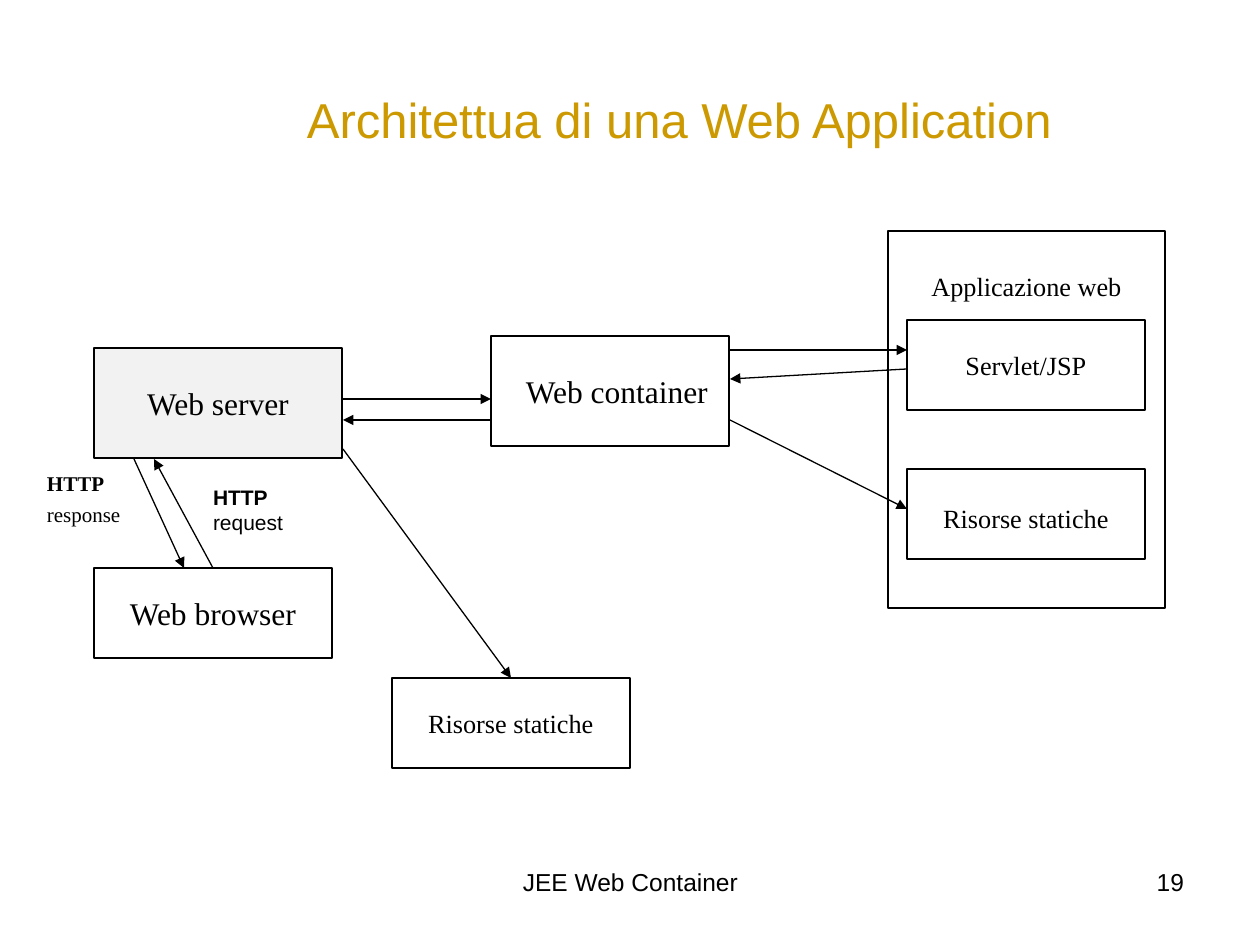
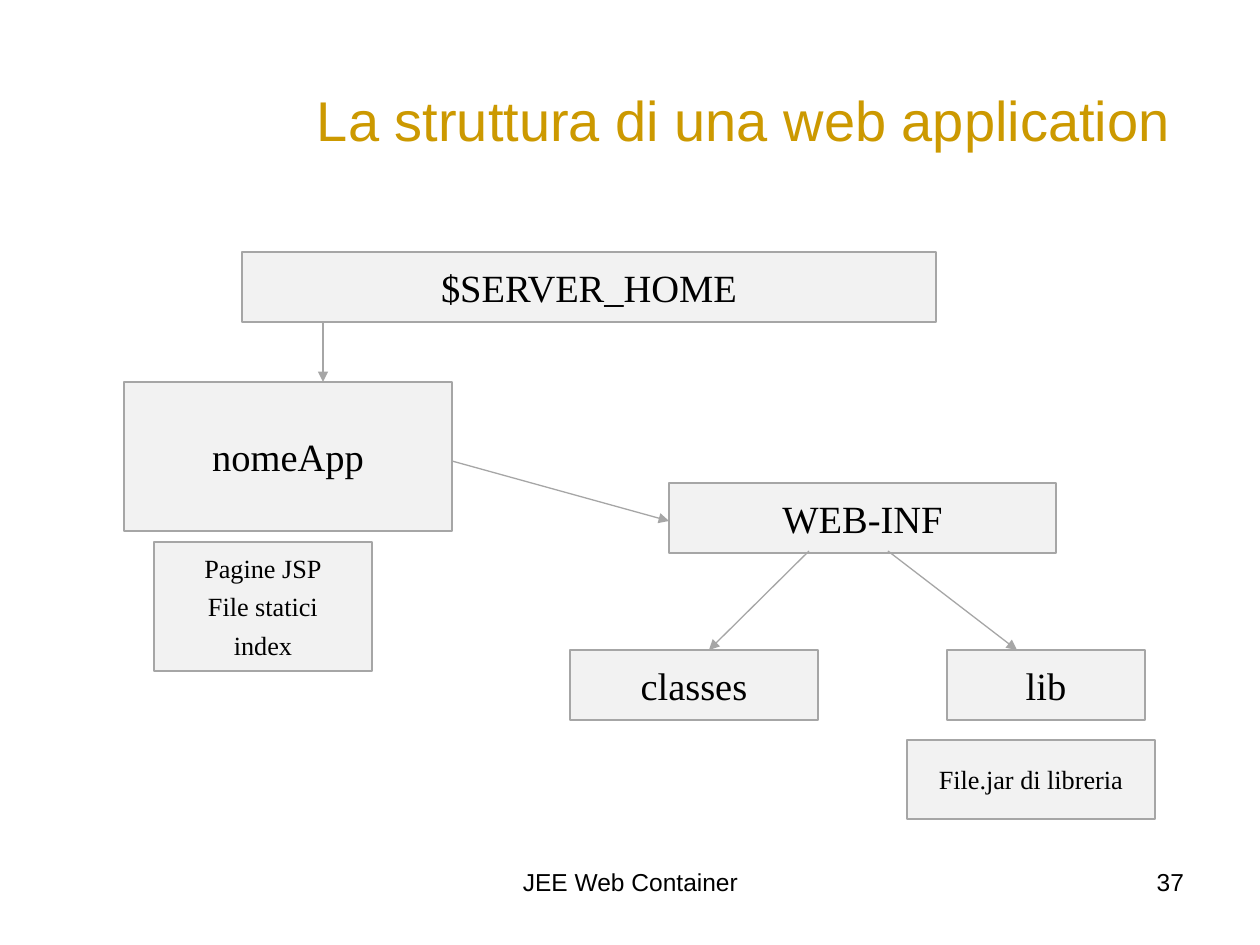
from lxml import etree
from pptx import Presentation
from pptx import util as u
from pptx.dml.color import RGBColor
from pptx.enum import shapes, text
from pptx.oxml import ns

PX = 914400 / 126  # EMU in one px
SANS, SERIF = "Arial", "Times New Roman"
GOLD, BLACK, GREY, PALE = "CC9900", "000000", "A6A6A6", "F2F2F2"
LEFT, CENTER, RIGHT = text.PP_ALIGN.LEFT, text.PP_ALIGN.CENTER, text.PP_ALIGN.RIGHT
TOP, MIDDLE = text.MSO_ANCHOR.TOP, text.MSO_ANCHOR.MIDDLE
PAD = (13, 6, 13, 6)  # left, top, right, bottom


def px(n):
    return u.Emu(round(n * PX))


def color(hex_string):
    return RGBColor.from_string(hex_string)


class Deck:
    """Holds the shared style and the current slide."""

    def __init__(self):
        self.prs = Presentation()
        self.prs.slide_width, self.prs.slide_height = px(1260), px(945)
        self.s = None
        self.line = BLACK

    def slide(self, title, size, box, number, line):
        """Start a slide with its title, footer and line colour."""
        self.s = self.prs.slides.add_slide(self.prs.slide_layouts[6])
        self.line = line
        self.label(box, [title], size, c=GOLD, anchor=MIDDLE)
        self.label((431, 861, 399, 66), ["JEE Web Container"], 14, align=CENTER)
        self.label((903, 861, 294, 66), [number], 14, align=RIGHT)

    def set_text(self, sp, lines, size, font, c=BLACK, align=LEFT, anchor=TOP,
                 before=0, spacing=None, bold_first=False, pad=PAD):
        tf = sp.text_frame
        tf.word_wrap = True
        tf.vertical_anchor = anchor
        tf.margin_left, tf.margin_top, tf.margin_right, tf.margin_bottom = map(px, pad)
        for i, line in enumerate(lines):
            p = tf.add_paragraph() if i else tf.paragraphs[0]
            p.alignment = align
            p.space_before = u.Pt(before)
            if spacing:
                p.line_spacing = spacing
            r = p.add_run()
            r.text = line
            r.font.name, r.font.size = font, u.Pt(size)
            r.font.bold = bold_first and i == 0
            r.font.color.rgb = color(c)

    def label(self, box, lines, size, font=SANS, **style):
        sp = self.s.shapes.add_textbox(*map(px, box))
        self.set_text(sp, lines, size, font, **style)

    def box(self, box, lines, size, fill=None, anchor=MIDDLE, pad=PAD):
        """Outlined rectangle with centred text."""
        sp = self.s.shapes.add_shape(shapes.MSO_SHAPE.RECTANGLE, *map(px, box))
        sp.shadow.inherit = False
        if fill:
            sp.fill.solid()
            sp.fill.fore_color.rgb = color(fill)
        else:
            sp.fill.background()
        sp.line.color.rgb = color(self.line)
        sp.line.width = u.Pt(0.75)
        self.set_text(sp, lines, size, SERIF, align=CENTER, anchor=anchor,
                      before=size / 4, pad=pad)
        return sp

    def arrow(self, start, end, begin_at=None, end_at=None):
        """Arrow between points; begin_at and end_at join it to (shape, side)."""
        sp = self.s.shapes.add_connector(
            shapes.MSO_CONNECTOR.STRAIGHT, *map(px, start + end))
        if begin_at:
            sp.begin_connect(*begin_at)
        if end_at:
            sp.end_connect(*end_at)
        sp.line.color.rgb = color(self.line)
        sp.line.width = u.Pt(0.75)
        props = sp._element.spPr
        etree.SubElement(props.find(ns.qn("a:ln")), ns.qn("a:tailEnd"), type="triangle")
        etree.SubElement(props, ns.qn("a:effectLst"))


def architecture(deck):
    deck.slide("Architettua di una Web Application", 28, (294, 69, 808, 100), "19", BLACK)

    # Server, browser and container
    deck.box((94, 348, 248, 110), ["Web server"], 18, PALE)
    browser = deck.box((94, 568, 238, 90), ["Web browser"], 18)
    deck.box((491, 336, 238, 110), ["Web container"], 18, pad=(27, 6, 13, 6))
    static = deck.box((392, 678, 238, 90), ["Risorse statiche"], 15)

    # Web application and its parts
    deck.box((888, 231, 277, 377), ["Applicazione web"], 15, anchor=TOP, pad=(13, 39, 13, 6))
    deck.box((907, 320, 238, 90), ["Servlet/JSP"], 15)
    deck.box((907, 469, 238, 90), ["Risorse statiche"], 15, pad=(13, 14, 13, 6))

    # Request and response labels
    deck.label((200, 483, 105, 66), ["HTTP", "request"], 12,
               before=3, spacing=0.8, bold_first=True)
    deck.label((34, 465, 107, 68), ["HTTP", "response"], 12, SERIF,
               before=3, bold_first=True)

    # Arrows
    for start, end in [
        ((730, 350), (907, 350)), ((907, 369), (730, 379)), ((730, 420), (907, 509)),
        ((343, 399), (491, 399)), ((491, 420), (343, 420)), ((134, 459), (184, 568)),
    ]:
        deck.arrow(start, end)
    deck.arrow((213, 568), (154, 459), begin_at=(browser, 0))
    deck.arrow((343, 449), (511, 678), end_at=(static, 0))


def structure(deck):
    deck.slide("La struttura di una web application", 32, (304, 69, 935, 100), "37", GREY)

    # Folders
    for box, name in [
        ((242, 252, 694, 70), "$SERVER_HOME"),
        ((124, 382, 328, 149), "nomeApp"),
        ((669, 483, 387, 70), "WEB-INF"),
        ((947, 650, 198, 70), "lib"),
        ((570, 650, 248, 70), "classes"),
    ]:
        deck.box(box, [name], 22, PALE)

    # Folder contents
    deck.box((154, 542, 218, 129), ["Pagine JSP", "File statici", "index"], 15, PALE)
    deck.box((907, 740, 248, 79), ["File.jar di libreria"], 15, PALE)

    # Arrows
    for start, end in [
        ((323, 322), (323, 382)), ((452, 461), (669, 521)),
        ((809, 551), (709, 650)), ((888, 551), (1017, 650)),
    ]:
        deck.arrow(start, end)


def main():
    deck = Deck()
    architecture(deck)
    structure(deck)
    deck.prs.save("out.pptx")


if __name__ == "__main__":
    main()
